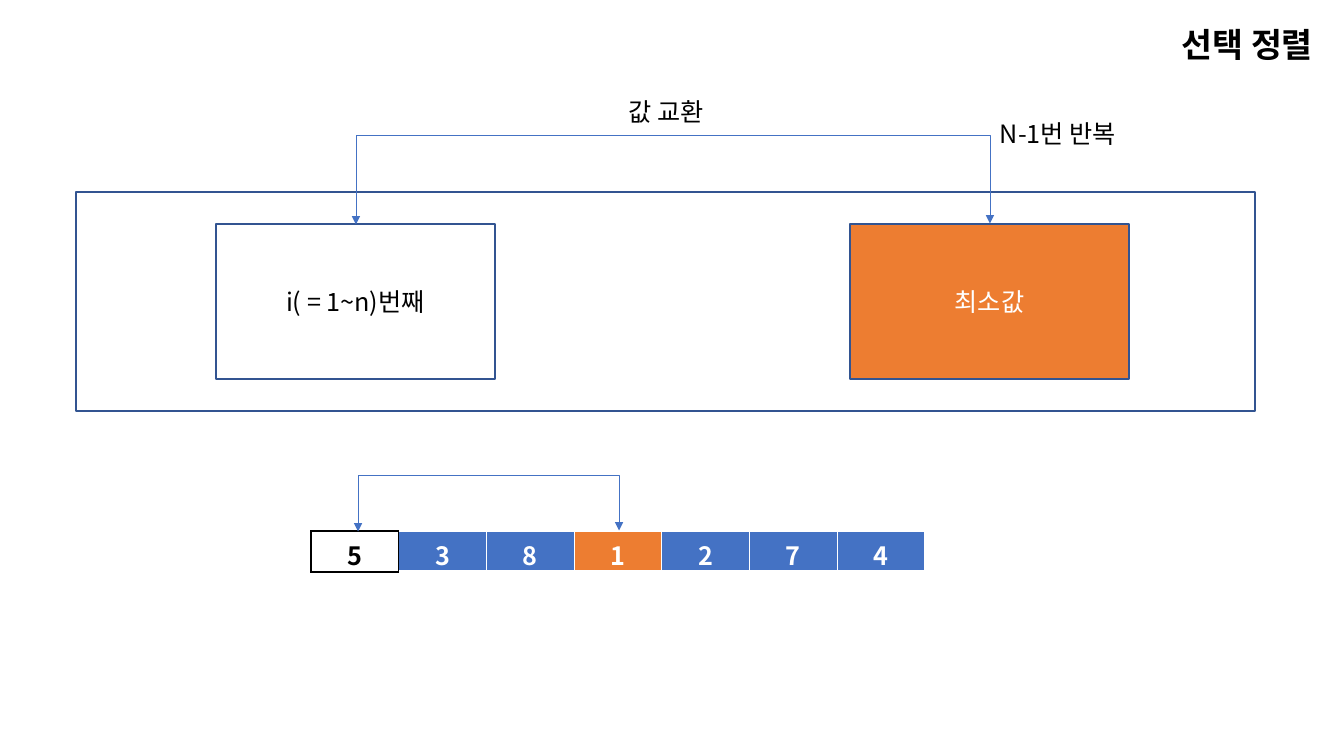
from lxml import etree
from pptx import Presentation
from pptx.dml.color import RGBColor
from pptx.enum.shapes import MSO_CONNECTOR, MSO_SHAPE
from pptx.enum.text import MSO_ANCHOR, MSO_AUTO_SIZE, PP_ALIGN
from pptx.oxml import parse_xml
from pptx.oxml.ns import nsdecls, qn
from pptx.util import Emu, Pt

BOX = MSO_SHAPE.FLOWCHART_PROCESS
ELBOW = MSO_CONNECTOR.ELBOW
TOP, MIDDLE = MSO_ANCHOR.TOP, MSO_ANCHOR.MIDDLE
LEFT, CENTER, RIGHT = PP_ALIGN.LEFT, PP_ALIGN.CENTER, PP_ALIGN.RIGHT
FIT = MSO_AUTO_SIZE.SHAPE_TO_FIT_TEXT
FONT = "Noto Sans CJK KR"
BLACK, WHITE, BLUE, NAVY, ORANGE = "000000", "FFFFFF", "4472C4", "325491", "ED7D31"
rgb = RGBColor.from_string


def px(*nums):
    """Turn lengths at 100.8 px to the inch into EMU."""
    return [Emu(round(n * 914400 / 100.8)) for n in nums]


def write(frame, text, color=BLACK, align=CENTER, size=18, bold=False):
    frame.text = text
    para = frame.paragraphs[0]
    para.alignment = align
    font = para.runs[0].font
    font.name, font.size, font.bold = FONT, Pt(size), bold
    font.color.rgb = rgb(color)
    etree.SubElement(font._element, qn("a:ea"), typeface=FONT)


prs = Presentation()
prs.slide_width, prs.slide_height = px(1344, 756)
slide = prs.slides.add_slide(prs.slide_layouts[5])
shapes = slide.shapes

# Title
title = shapes.title
title.left, title.top, title.width, title.height = px(1006, 19, 317, 50)
write(title.text_frame, "선택 정렬", align=RIGHT, size=24, bold=True)
title.text_frame.vertical_anchor = TOP
title.text_frame.auto_size = FIT

# Outer frame and the two values to swap
for spot, text, fill, color in (
    ((76, 192, 1179, 219), "", None, BLACK),
    ((216, 224, 279, 155), "i( = 1~n)번째", None, BLACK),
    ((850, 224, 279, 155), "최소값", ORANGE, WHITE),
):
    box = shapes.add_shape(BOX, *px(*spot))
    box.shadow.inherit = False
    box.line.color.rgb = rgb(NAVY)
    box.line.width = Pt(1)
    if fill:
        box.fill.solid()
        box.fill.fore_color.rgb = rgb(fill)
    else:
        box.fill.background()
    if text:
        write(box.text_frame, text, color)
        box.text_frame.vertical_anchor = MIDDLE

# Labels
for spot, text in (((619, 91, 106, 40), "값 교환"), ((990, 113, 149, 40), "N-1번 반복")):
    label = shapes.add_textbox(*px(*spot))
    write(label.text_frame, text, align=LEFT)
    label.text_frame.word_wrap = False
    label.text_frame.auto_size = FIT

# Array with the current cell outlined and the minimum in orange
values = "5381274"
table = shapes.add_table(1, len(values), *px(311, 531, 614, 41)).table
table.first_row = table.horz_banding = False
for col, value in enumerate(values):
    cell = table.cell(0, col)
    first = col == 0
    write(cell.text_frame, value, BLACK if first else WHITE, bold=True)
    for side in "LRTB":
        edge = BLACK if first or (col == 1 and side == "L") else WHITE
        width = Pt(3 if side == "B" and not first else 1)
        cell._tc.get_or_add_tcPr().append(parse_xml(
            f'<a:ln{side} {nsdecls("a")} w="{width}"><a:solidFill>'
            f'<a:srgbClr val="{edge}"/></a:solidFill></a:ln{side}>'))
    if first:
        cell.fill.background()
    else:
        cell.fill.solid()
        cell.fill.fore_color.rgb = rgb(ORANGE if value == min(values) else BLUE)

# Swap arrows: an elbow one px wide, turned by 90 degrees, its bend raised by rise
for start, end, base, rise in ((356, 990, 224, 90), (358, 619, 531, 57)):
    mid, span = (start + end) / 2, end - start
    ends = px(mid + 0.5, base + span / 2, mid - 0.5, base - span / 2)
    swap = shapes.add_connector(ELBOW, *ends)
    swap.line.color.rgb = rgb(BLUE)
    swap.line.width = Pt(0.5)
    props = swap._element.spPr
    props.find(qn("a:xfrm")).set("rot", str(90 * 60000))
    guides = props.find(qn("a:prstGeom")).get_or_add_avLst()
    etree.SubElement(guides, qn("a:gd"), name="adj1", fmla=f"val {rise * 100000}")
    for tip in ("a:headEnd", "a:tailEnd"):
        etree.SubElement(props.find(qn("a:ln")), qn(tip), type="triangle")
    etree.SubElement(props, qn("a:effectLst"))

prs.save("out.pptx")
